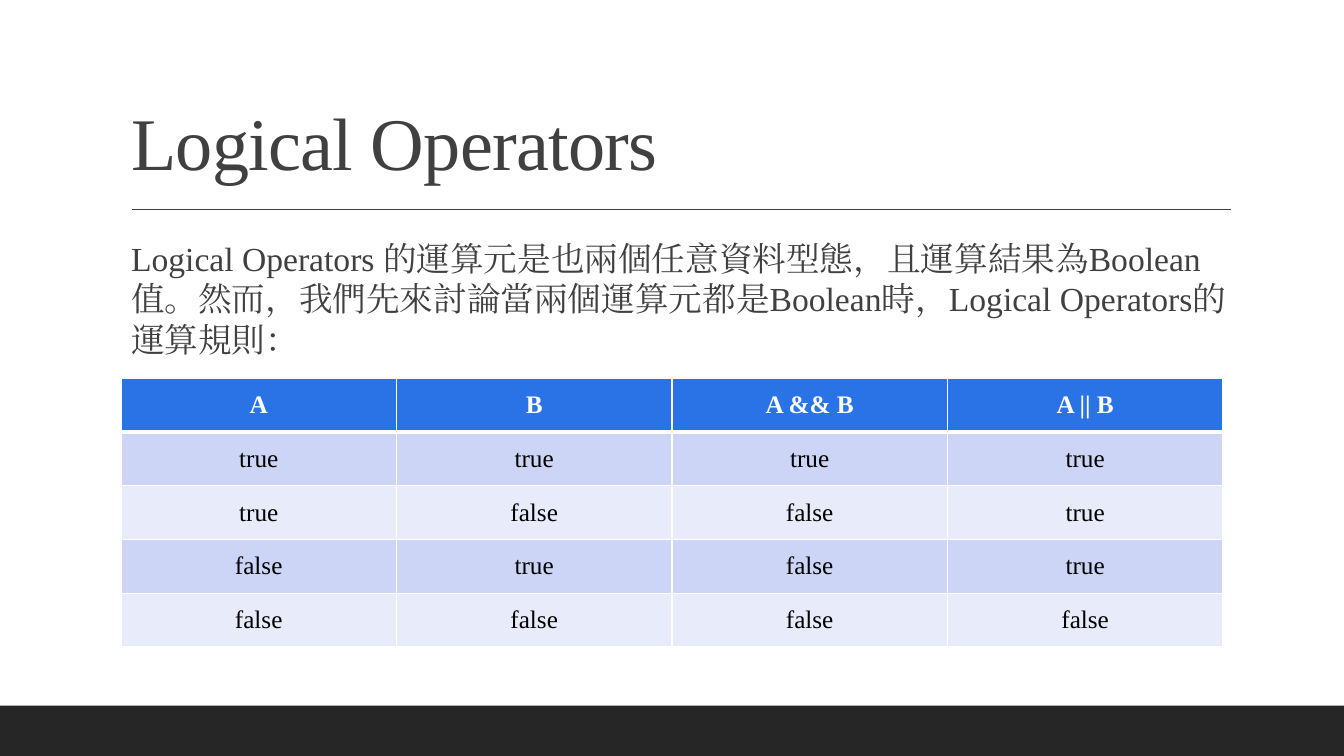
from lxml import etree
from pptx import Presentation
from pptx import util as u
from pptx.dml.color import RGBColor
from pptx.enum import shapes, text
from pptx.oxml import ns

FONT = "Times New Roman"
COLORS = {
    "ink": "404040", "footer": "262626", "bullet": "7D29E7", "header": "2973E7",
    "odd": "CDD5F6", "even": "E8EBFA", "white": "FFFFFF", "black": "000000",
}
WIDTH, HEIGHT = u.Inches(13.33), u.Inches(7.5)
LEFT, CONTENT_WIDTH = u.Inches(1.2), u.Inches(11)
INTRO = ("Logical Operators 的運算元是也兩個任意資料型態，且運算結果為Boolean值。"
         "然而，我們先來討論當兩個運算元都是Boolean時，Logical Operators的運算規則：")
TRUTH_TABLE = [
    ["A", "B", "A && B", "A || B"],
    ["true", "true", "true", "true"],
    ["true", "false", "false", "true"],
    ["false", "true", "false", "true"],
    ["false", "false", "false", "false"],
]


def rgb(name):
    """Return the named palette colour."""
    return RGBColor.from_string(COLORS[name])


def add_element(parent, tag, **attributes):
    """Append a DrawingML element with the given attributes."""
    return etree.SubElement(parent, ns.qn(tag), attributes)


def write(frame, words, size, color="ink", bold=False, align=text.PP_ALIGN.LEFT,
          line=1.0, before=0, after=0, tracking=0):
    """Write one formatted paragraph into a text frame."""
    paragraph = frame.paragraphs[0]
    paragraph.alignment, paragraph.line_spacing = align, line
    paragraph.space_before, paragraph.space_after = u.Pt(before), u.Pt(after)
    run = paragraph.add_run()
    run.text = words
    run.font.size, run.font.bold, run.font.name = u.Pt(size), bold, FONT
    run.font.color.rgb = rgb(color)
    properties = run.font._element
    properties.set("spc", str(round(tracking * 100)))
    add_element(properties, "a:ea", typeface=FONT)
    return paragraph


def place(placeholder, box, anchor):
    """Move a placeholder to a box and fix its text layout."""
    placeholder.left, placeholder.top, placeholder.width, placeholder.height = box
    frame = placeholder.text_frame
    frame.word_wrap, frame.auto_size = True, text.MSO_AUTO_SIZE.NONE
    frame.vertical_anchor = anchor
    return frame


def add_footer(slide, box):
    """Fill the box with the dark footer band."""
    band = slide.shapes.add_shape(shapes.MSO_SHAPE.RECTANGLE, *box)
    band.shadow.inherit = False
    band.fill.solid()
    band.fill.fore_color.rgb = rgb("footer")
    band.line.fill.background()


def add_heading(slide, box):
    """Set the title in the box and draw the rule below it."""
    left, top, width, height = box
    frame = place(slide.shapes.title, box, text.MSO_ANCHOR.BOTTOM)
    write(frame, "Logical Operators", 53, line=0.9, tracking=-0.5)
    rule_left, rule_top = left + u.Inches(0.11), top + height + u.Inches(0.18)
    rule = slide.shapes.add_connector(
        shapes.MSO_CONNECTOR.STRAIGHT, rule_left, rule_top,
        rule_left + width - u.Inches(0.1), rule_top)
    rule.line.color.rgb, rule.line.width = rgb("ink"), u.Pt(1)
    add_element(rule._element.spPr, "a:effectLst")


def add_intro(slide, box):
    """Set the introduction in the body placeholder."""
    frame = place(slide.placeholders[1], box, text.MSO_ANCHOR.TOP)
    frame.margin_left = frame.margin_right = 0
    paragraph = write(frame, INTRO, 24, before=12, after=2)
    properties = paragraph._p.get_or_add_pPr()
    indent = u.Inches(0.1)
    properties.set("marL", str(indent))
    properties.set("indent", str(-indent))
    bullet_color = add_element(properties, "a:buClr")
    add_element(bullet_color, "a:srgbClr", val=COLORS["bullet"])
    add_element(properties, "a:buChar", char=" ")


def add_borders(cell, bottom):
    """Draw white cell borders with the given bottom width."""
    properties = cell._tc.get_or_add_tcPr()
    for position, side in enumerate("LRTB"):
        width = u.Pt(bottom if side == "B" else 1)
        border = etree.Element(ns.qn(f"a:ln{side}"), w=str(width))
        fill = add_element(border, "a:solidFill")
        add_element(fill, "a:srgbClr", val=COLORS["white"])
        properties.insert(position, border)


def add_truth_table(slide, box):
    """Lay the truth table out on an even grid in the box."""
    table = slide.shapes.add_table(len(TRUTH_TABLE), len(TRUTH_TABLE[0]), *box).table
    for row, values in enumerate(TRUTH_TABLE):
        header = row == 0
        band = "header" if header else "odd" if row % 2 else "even"
        for column, value in enumerate(values):
            cell = table.cell(row, column)
            cell.fill.solid()
            cell.fill.fore_color.rgb = rgb(band)
            cell.vertical_anchor = text.MSO_ANCHOR.MIDDLE
            write(cell.text_frame, value, 18, "white" if header else "black",
                  bold=header, align=text.PP_ALIGN.CENTER)
            add_borders(cell, 3 if header else 1)


def main():
    """Build the slide and save it."""
    deck = Presentation()
    deck.slide_width, deck.slide_height = WIDTH, HEIGHT
    slide = deck.slides.add_slide(deck.slide_layouts[1])
    band_height = HEIGHT // 15
    add_footer(slide, (0, HEIGHT - band_height, WIDTH, band_height))
    add_heading(slide, (LEFT, u.Inches(0.31), CONTENT_WIDTH, u.Inches(1.59)))
    add_intro(slide, (LEFT, u.Inches(2.31), CONTENT_WIDTH, u.Inches(4.11)))
    add_truth_table(slide, (LEFT, u.Inches(3.75), u.Inches(10.93), u.Inches(2.67)))
    deck.save("out.pptx")


if __name__ == "__main__":
    main()
